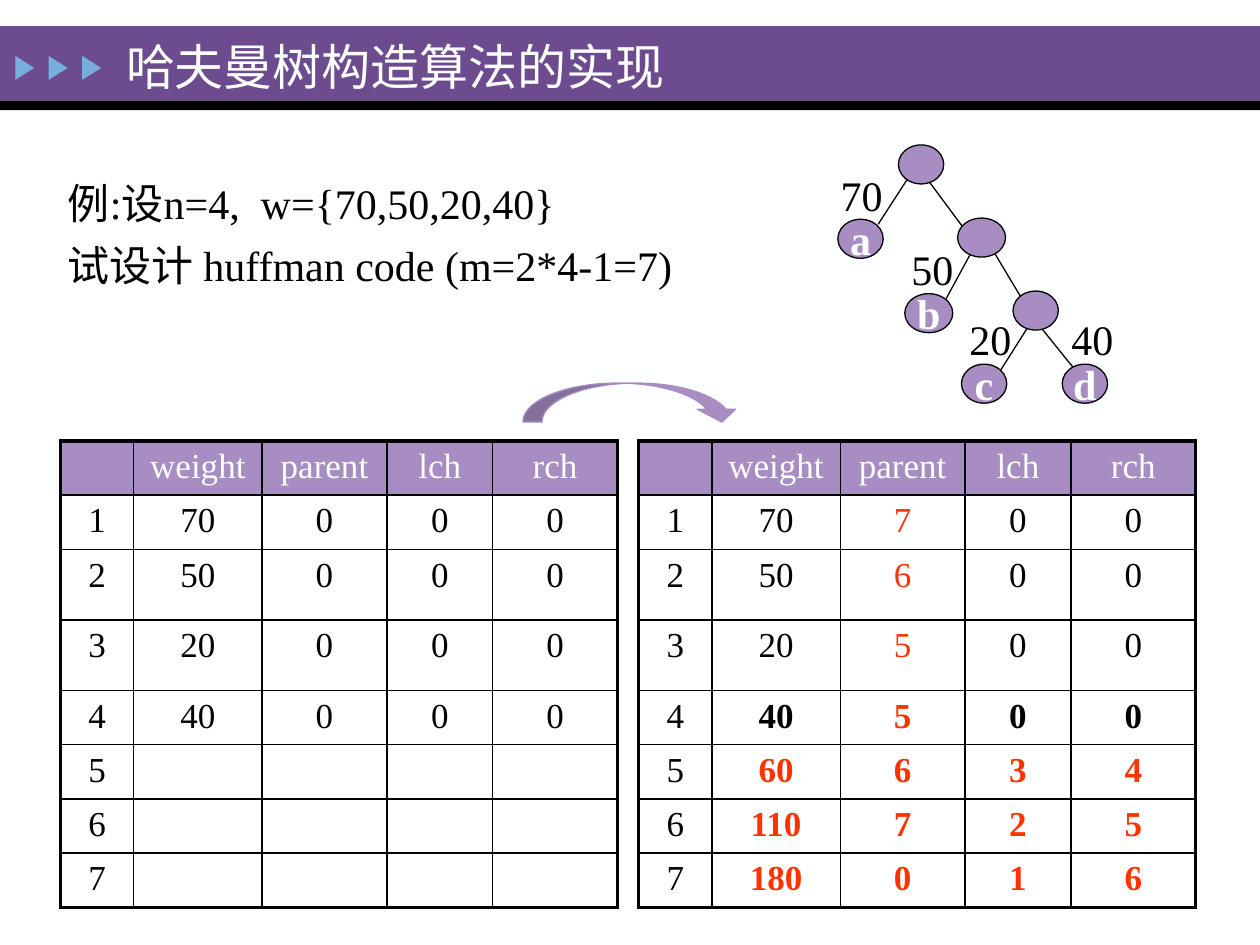
from dataclasses import dataclass
from typing import Any

from lxml import etree
from pptx import Presentation
from pptx.dml.color import RGBColor
from pptx.enum.shapes import MSO_CONNECTOR, MSO_SHAPE
from pptx.enum.text import MSO_ANCHOR, MSO_AUTO_SIZE, PP_ALIGN
from pptx.oxml.ns import qn
from pptx.util import Pt

RECTANGLE = MSO_SHAPE.RECTANGLE
TRIANGLE = MSO_SHAPE.ISOSCELES_TRIANGLE
OVAL = MSO_SHAPE.OVAL
CURVED_ARROW = MSO_SHAPE.CURVED_DOWN_ARROW
STRAIGHT = MSO_CONNECTOR.STRAIGHT
TOP, MIDDLE = MSO_ANCHOR.TOP, MSO_ANCHOR.MIDDLE
LEFT, CENTER = PP_ALIGN.LEFT, PP_ALIGN.CENTER
NO_RESIZE = MSO_AUTO_SIZE.NONE

COLORS = {
    "white": "FEFFFF",
    "black": "000000",
    "banner": "6C4C8F",
    "lilac": "A78DC2",
    "marker": "76AEDD",
    "red": "FF3300",
}
FONT = "Times New Roman"
NODE_HEIGHT = 22.3
HEADERS = ["", "weight", "parent", "lch", "rch"]
COLUMN_WIDTHS = [41.8, 73.4, 71.3, 60.5, 71.3]
ROW_HEIGHTS = [31, 31, 40.3, 40.3, 31, 31, 31, 31]


@dataclass
class Node:
    left: float
    top: float
    width: float
    name: str = ""


@dataclass
class Weight:
    left: float
    top: float
    text: str


@dataclass
class Edge:
    start: tuple[float, float]
    end: tuple[float, float]


@dataclass
class HuffmanTable:
    left: float
    rows: list[list[int]]
    finished: bool


NODES = [
    Node(478.8, 125.3, 25.9, "a"),
    Node(517, 167.8, 27.4, "b"),
    Node(549.4, 208.1, 25.9, "c"),
    Node(607, 208.1, 25.9, "d"),
    Node(578.9, 166.3, 25.9),
    Node(547.2, 124.6, 27.4),
    Node(513.4, 82.8, 25.9),
]
WEIGHTS = [
    Weight(473, 92.9, "70"),
    Weight(513.4, 135.4, "50"),
    Weight(546.5, 175, "20"),
    Weight(604.8, 175, "40"),
]
EDGES = [
    Edge((586.8, 187.9), (571.7, 211.7)),
    Edge((595.4, 187.9), (613.4, 210.2)),
    Edge((554.4, 145.4), (540.7, 170.6)),
    Edge((568.8, 145.4), (583.9, 170.6)),
    Edge((519.1, 101.5), (501.8, 128.2)),
    Edge((531.4, 104.4), (550.1, 129.6)),
]
TABLES = [
    HuffmanTable(34.6, [[70, 0, 0, 0], [50, 0, 0, 0], [20, 0, 0, 0],
                        [40, 0, 0, 0], [], [], []], False),
    HuffmanTable(365, [[70, 7, 0, 0], [50, 6, 0, 0], [20, 5, 0, 0], [40, 5, 0, 0],
                       [60, 6, 3, 4], [110, 7, 2, 5], [180, 0, 1, 6]], True),
]


def color(name: str) -> RGBColor:
    return RGBColor.from_string(COLORS[name])


def apply(target: Any, values: dict[str, Any]) -> None:
    for name, value in values.items():
        setattr(target, name, value)


def place(shape: Any, left: float, top: float, width: float, height: float) -> None:
    apply(shape, {"left": Pt(left), "top": Pt(top), "width": Pt(width), "height": Pt(height)})


def write(paragraph: Any, text: str, size: float, color_name: str,
          bold: bool = False, alignment: Any = CENTER) -> None:
    paragraph.text = text
    paragraph.alignment = alignment
    apply(paragraph.font, {"name": FONT, "size": Pt(size), "bold": bold})
    paragraph.font.color.rgb = color(color_name)


def add_filled(shapes: Any, kind: Any, box: tuple[float, float, float, float],
               fill: str, outline: str = "") -> Any:
    shape = shapes.add_shape(kind, *map(Pt, box))
    shape.shadow.inherit = False
    shape.fill.solid()
    shape.fill.fore_color.rgb = color(fill)
    if outline:
        shape.line.color.rgb = color(outline)
        shape.line.width = Pt(0.75)
    else:
        shape.line.fill.background()
    return shape


def add_banner(slide: Any) -> None:
    add_filled(slide.shapes, RECTANGLE, (0, 15, 720, 42.5), "banner")
    add_filled(slide.shapes, RECTANGLE, (0, 57.5, 720, 5.5), "black")
    markers = slide.shapes.add_group_shape()
    for index in range(3):
        marker = add_filled(markers.shapes, TRIANGLE,
                            (7.3 + 19.1 * index, 33.4, 13.7, 10.8), "marker")
        marker.rotation = 90


def fill_title(title: Any) -> None:
    place(title, 64.8, 17.3, 518.4, 40.3)
    apply(title.text_frame, {"word_wrap": True, "auto_size": NO_RESIZE,
                             "vertical_anchor": MIDDLE})
    write(title.text_frame.paragraphs[0], "哈夫曼树构造算法的实现", 28, "white", alignment=LEFT)
    title.element.getparent().append(title.element)


def fill_body(body: Any) -> None:
    place(body, 28.8, 100.8, 370, 75.6)
    frame = body.text_frame
    apply(frame, {"word_wrap": True, "auto_size": NO_RESIZE, "vertical_anchor": TOP,
                  "margin_left": Pt(10), "margin_right": Pt(10),
                  "margin_top": Pt(6.4), "margin_bottom": Pt(6.4)})
    lines = ["例:设n=4,  w={70,50,20,40}", "试设计 huffman code (m=2*4-1=7)"]
    for index, line in enumerate(lines):
        paragraph = frame.add_paragraph() if index else frame.paragraphs[0]
        properties = paragraph._p.get_or_add_pPr()
        apply(paragraph, {"line_spacing": 0.8, "space_before": Pt(12 * index)})
        properties.set("marL", "0")
        properties.set("indent", "0")
        etree.SubElement(properties, qn("a:buNone"))
        write(paragraph, line, 24, "black", alignment=LEFT)


def add_border(cell: Any, tag: str, width: float) -> None:
    properties = cell._tc.get_or_add_tcPr()
    line = etree.SubElement(properties, qn(tag), w=str(Pt(width)))
    fill = etree.SubElement(line, qn("a:solidFill"))
    etree.SubElement(fill, qn("a:srgbClr"), val=COLORS["black"])


def add_huffman_table(slide: Any, spec: HuffmanTable) -> None:
    numbered = [[number, *values] for number, values in enumerate(spec.rows, 1)]
    content = [HEADERS, *numbered]
    last_row, last_column = len(content) - 1, len(HEADERS) - 1
    table = slide.shapes.add_table(len(content), len(HEADERS), Pt(spec.left), Pt(252),
                                   Pt(sum(COLUMN_WIDTHS)), Pt(sum(ROW_HEIGHTS))).table
    apply(table, {"first_row": False, "horz_banding": False})
    for column, width in zip(table.columns, COLUMN_WIDTHS):
        column.width = Pt(width)
    for row, (values, height) in enumerate(zip(content, ROW_HEIGHTS)):
        table.rows[row].height = Pt(height)
        for column in range(len(HEADERS)):
            cell = table.cell(row, column)
            outer_edges = {"a:lnL": column == 0, "a:lnR": column == last_column,
                           "a:lnT": row == 0, "a:lnB": row == last_row}
            for tag, outer in outer_edges.items():
                add_border(cell, tag, 2.25 if outer else 1)
            if row == 0 or column == 0:
                cell.fill.solid()
                cell.fill.fore_color.rgb = color("white" if row else "lilac")
            else:
                cell.fill.background()
            if column < len(values) and values[column] != "":
                changed = spec.finished and row > 0 and column > 0
                red = changed and (row > 4 or column == 2)
                ink = "red" if red else "black" if row else "white"
                write(cell.text_frame.paragraphs[0], str(values[column]), 20, ink,
                      bold=changed and row >= 4)


def add_tree(slide: Any) -> None:
    shapes = slide.shapes.add_group_shape().shapes
    centered = {"word_wrap": False, "vertical_anchor": MIDDLE}
    for edge in EDGES:
        connector = shapes.add_connector(STRAIGHT, *map(Pt, edge.start + edge.end))
        connector.line.color.rgb = color("black")
        connector.line.width = Pt(0.75)
        etree.SubElement(connector.element.spPr, qn("a:effectLst"))
    for node in NODES:
        shape = add_filled(shapes, OVAL, (node.left, node.top, node.width, NODE_HEIGHT),
                           "lilac", "black")
        if node.name:
            apply(shape.text_frame, centered)
            write(shape.text_frame.paragraphs[0], node.name, 24, "white", bold=True)
    for weight in WEIGHTS:
        label = shapes.add_textbox(Pt(weight.left), Pt(weight.top), Pt(38.9), Pt(36.7))
        apply(label.text_frame, centered)
        write(label.text_frame.paragraphs[0], weight.text, 24, "black")


def main() -> None:
    presentation = Presentation()
    apply(presentation, {"slide_width": Pt(720), "slide_height": Pt(540)})
    slide = presentation.slides.add_slide(presentation.slide_layouts[1])
    slide.background.fill.solid()
    slide.background.fill.fore_color.rgb = color("white")
    add_banner(slide)
    fill_body(slide.placeholders[1])
    for spec in TABLES:
        add_huffman_table(slide, spec)
    add_tree(slide)
    arrow = add_filled(slide.shapes, CURVED_ARROW, (298.8, 218.9, 124.6, NODE_HEIGHT),
                       "lilac", "lilac")
    for index, value in enumerate([0.49, 0.98, 0.33]):
        arrow.adjustments[index] = value
    fill_title(slide.shapes.title)
    presentation.save("out.pptx")


if __name__ == "__main__":
    main()
